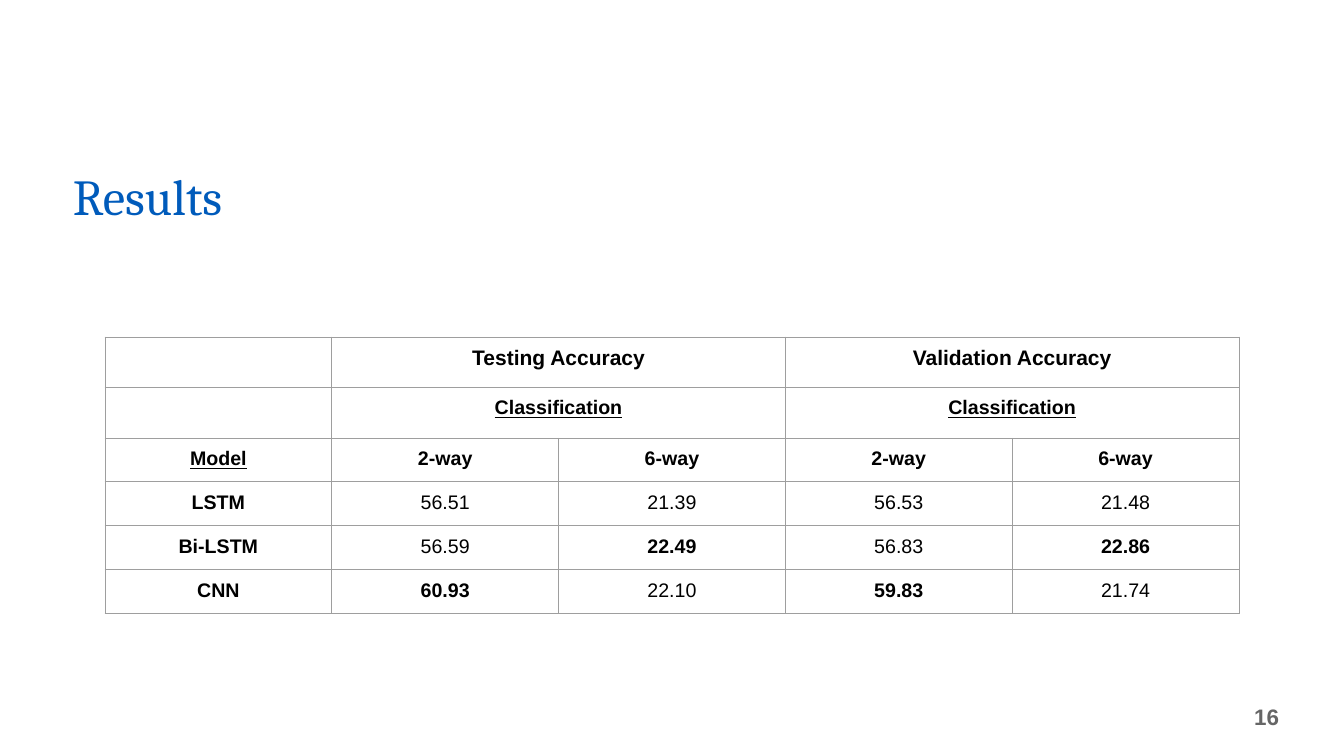
import dataclasses

import lxml.etree
import pptx
import pptx.dml.color
import pptx.enum.text
import pptx.oxml.ns
import pptx.util

PX = 914400 / 100.8
ALIGN = pptx.enum.text.PP_ALIGN
ANCHOR = pptx.enum.text.MSO_ANCHOR


@dataclasses.dataclass(frozen=True)
class Theme:
    """Hold the colours, fonts and type sizes of the slide."""
    title_color: str = "005BBB"
    text_color: str = "000000"
    number_color: str = "666666"
    border_color: str = "9E9E9E"
    title_font: str = "Cambria"
    body_font: str = "Arial"
    title_size: int = 36
    number_size: int = 16
    heading_size: int = 15
    cell_size: int = 14
    border_width: float = 0.75


THEME = Theme()
COLUMN_COUNT = 5
ROW_HEIGHTS = [50, 51, 43, 44, 44, 43]
GROUPS = {1: "Testing Accuracy", 3: "Validation Accuracy"}
HEADERS = ["Model", "2-way", "6-way", "2-way", "6-way"]
SCORES = [
    ["LSTM", "56.51", "21.39", "56.53", "21.48"],
    ["Bi-LSTM", "56.59", "22.49", "56.83", "22.86"],
    ["CNN", "60.93", "22.10", "59.83", "21.74"],
]


def px(length):
    """Turn pixels into EMU."""
    return pptx.util.Emu(round(length * PX))


def style(paragraph, font_name, size, color, align, bold=False, underline=False):
    """Set the alignment and font of a paragraph."""
    paragraph.alignment = align
    font = paragraph.font
    font.name = font_name
    font.size = pptx.util.Pt(size)
    font.bold = bold
    font.underline = underline
    font.color.rgb = pptx.dml.color.RGBColor.from_string(color)


def add_label(slide, box, text, anchor):
    """Place a wrapped line of text in a box and return its paragraph."""
    frame = slide.shapes.add_textbox(*map(px, box)).text_frame
    frame.word_wrap = True
    frame.vertical_anchor = anchor
    frame.text = text
    return frame.paragraphs[0]


def add_title(slide, box):
    """Place the slide title."""
    title = add_label(slide, box, "Results", ANCHOR.BOTTOM)
    title.line_spacing = 0.9
    style(title, THEME.title_font, THEME.title_size, THEME.title_color, ALIGN.LEFT)


def add_page_number(slide, box):
    """Place the page number."""
    number = add_label(slide, box, "16", ANCHOR.MIDDLE)
    style(number, THEME.body_font, THEME.number_size, THEME.number_color,
          ALIGN.RIGHT, bold=True)


def add_borders(cell):
    """Draw the four borders of a table cell."""
    qn = pptx.oxml.ns.qn
    properties = cell._tc.get_or_add_tcPr()
    for index, side in enumerate(("a:lnL", "a:lnR", "a:lnT", "a:lnB")):
        border = lxml.etree.Element(qn(side), w=str(pptx.util.Pt(THEME.border_width)))
        fill = lxml.etree.SubElement(border, qn("a:solidFill"))
        lxml.etree.SubElement(fill, qn("a:srgbClr"), val=THEME.border_color)
        properties.insert(index, border)


def fill_cell(cell, text, size=THEME.cell_size, bold=True, underline=False):
    """Write centred text into a table cell."""
    cell.text = text
    style(cell.text_frame.paragraphs[0], THEME.body_font, size, THEME.text_color,
          ALIGN.CENTER, bold, underline)


def add_results(slide, box):
    """Place the accuracy table, with the best score of each column in bold."""
    left, top, width, height = box
    results = slide.shapes.add_table(
        len(ROW_HEIGHTS), COLUMN_COUNT, *map(px, box)).table
    results.first_row = False
    results.horz_banding = False
    for column in results.columns:
        column.width = px(width / COLUMN_COUNT)
    for row, row_height in zip(results.rows, ROW_HEIGHTS):
        row.height = px(row_height * height / sum(ROW_HEIGHTS))
    for cell in results.iter_cells():
        cell.fill.background()
        cell.margin_left = cell.margin_right = px(10)
        cell.margin_top = cell.margin_bottom = px(10)
        add_borders(cell)

    for column, group in GROUPS.items():
        for row in (0, 1):
            results.cell(row, column).merge(results.cell(row, column + 1))
        fill_cell(results.cell(0, column), group, THEME.heading_size)
        fill_cell(results.cell(1, column), "Classification", underline=True)
    for column, header in enumerate(HEADERS):
        fill_cell(results.cell(2, column), header, underline=column == 0)
    best = [max(scores) for scores in zip(*SCORES)]
    for row, scores in enumerate(SCORES, start=3):
        for column, score in enumerate(scores):
            fill_cell(results.cell(row, column), score,
                      bold=column == 0 or score == best[column])


def main():
    """Build the results slide and save it."""
    deck = pptx.Presentation()
    deck.slide_width, deck.slide_height = px(1344), px(756)
    slide = deck.slides.add_slide(deck.slide_layouts[6])
    add_title(slide, (63, 165, 1159, 66))
    add_page_number(slide, (835, 697, 454, 40))
    add_results(slide, (105, 337, 1134, 275))
    deck.save("out.pptx")


if __name__ == "__main__":
    main()
